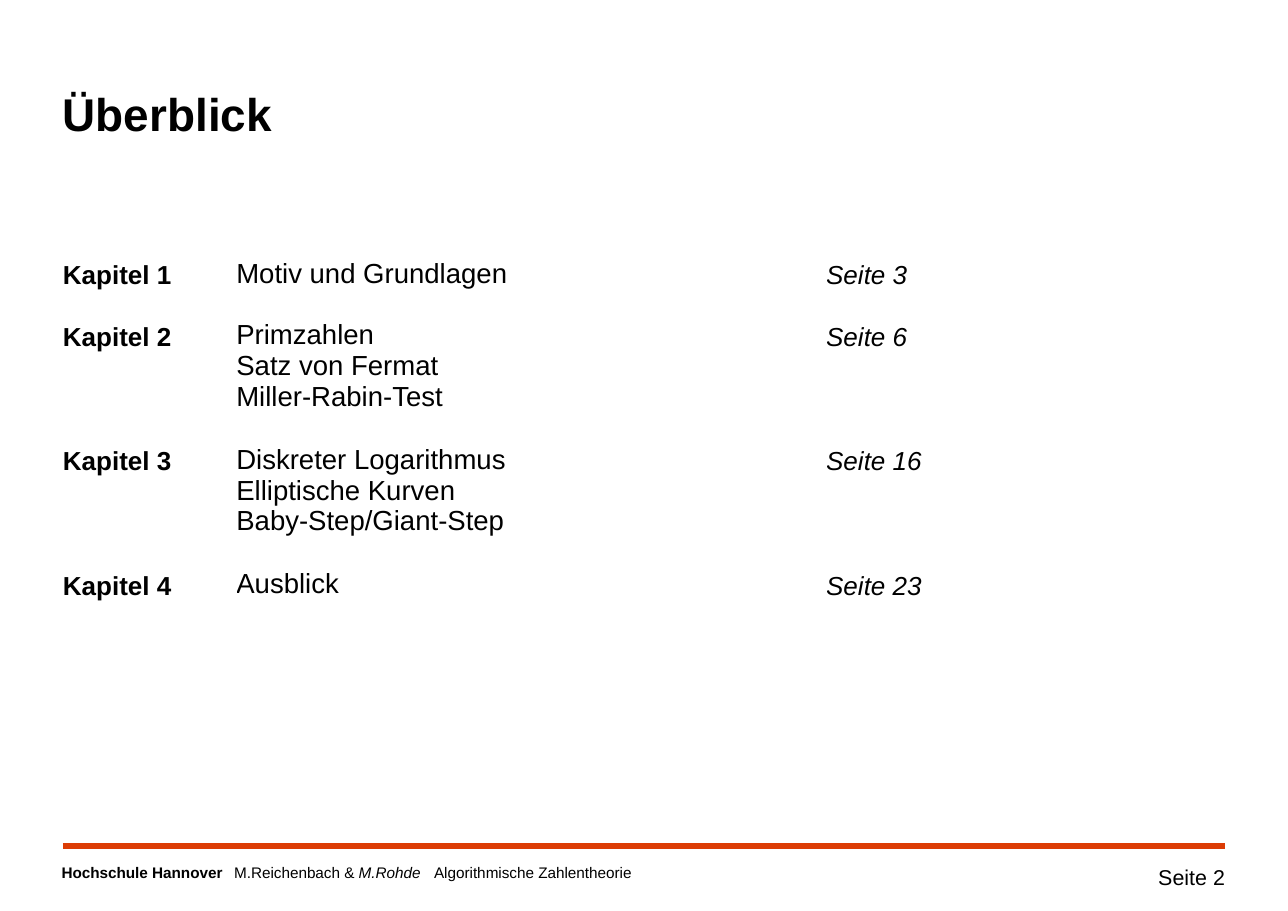
from dataclasses import dataclass
from typing import NamedTuple

from lxml.etree import SubElement
from pptx import Presentation
from pptx.dml.color import RGBColor
from pptx.enum.shapes import MSO_CONNECTOR
from pptx.enum.text import MSO_ANCHOR, PP_ALIGN
from pptx.oxml.ns import qn
from pptx.util import Cm, Pt


@dataclass(frozen=True)
class Theme:
    font: str = "Arial"
    ink: RGBColor = RGBColor(0, 0, 0)
    accent: RGBColor = RGBColor(0xDC, 0x3C, 0x05)
    title: int = 30
    topic: int = 18
    label: int = 17
    page: int = 14
    footer: int = 10


class Run(NamedTuple):
    text: str
    size: int
    bold: bool = False
    italic: bool = False


class Box(NamedTuple):
    left: float
    top: float
    width: float
    height: float


class Chapter(NamedTuple):
    label: str
    topics: list[str]
    page: str
    height: float


THEME = Theme()
LEFT, RIGHT = 1.45, 28.25
NO_INSET = dict.fromkeys(("margin_left", "margin_right", "margin_top", "margin_bottom"), 0)
LOOSE = {"line_spacing": 1.1, "space_after": Pt(7)}
COLUMNS = (4, 13.6, 5.8)
CHAPTERS = [
    Chapter("Kapitel 1", ["Motiv und Grundlagen"], "Seite 3", 1.42),
    Chapter("Kapitel 2", ["Primzahlen", "Satz von Fermat", "Miller-Rabin-Test"], "Seite 6", 2.87),
    Chapter("Kapitel 3", ["Diskreter Logarithmus", "Elliptische Kurven", "Baby-Step/Giant-Step"],
            "Seite 16", 2.87),
    Chapter("Kapitel 4", ["Ausblick"], "Seite 23", 2.87),
]


def apply(target, values: dict) -> None:
    for name, value in values.items():
        setattr(target, name, value)


def write(frame, lines: list[list[Run]], style: dict) -> None:
    for index, line in enumerate(lines):
        para = frame.add_paragraph() if index else frame.paragraphs[0]
        apply(para, style)
        for item in line:
            run = para.add_run()
            run.text = item.text
            apply(run.font, {"name": THEME.font, "size": Pt(item.size),
                             "bold": item.bold, "italic": item.italic})
            run.font.color.rgb = THEME.ink


def add_text(slide, box: Box, line: list[Run], style: dict):
    frame = slide.shapes.add_textbox(*map(Cm, box)).text_frame
    apply(frame, NO_INSET | {"word_wrap": True, "vertical_anchor": MSO_ANCHOR.TOP})
    write(frame, [line], style)
    return frame


def add_tabs(para, stops: tuple[float, ...]) -> None:
    tabs = SubElement(para._p.get_or_add_pPr(), qn("a:tabLst"))
    for stop in stops:
        SubElement(tabs, qn("a:tab"), pos=str(Cm(stop)), algn="l")


def add_rule(slide, top: float) -> None:
    rule = slide.shapes.add_connector(MSO_CONNECTOR.STRAIGHT, Cm(LEFT), Cm(top), Cm(RIGHT), Cm(top))
    rule.line.color.rgb = THEME.accent
    rule.line.width = Pt(4)
    SubElement(rule._element.spPr, qn("a:effectLst"))


def add_chapters(slide, left: float, top: float) -> None:
    size = sum(COLUMNS), sum(chapter.height for chapter in CHAPTERS)
    table = slide.shapes.add_table(len(CHAPTERS), len(COLUMNS), *map(Cm, (left, top, *size))).table
    apply(table, {"first_row": False, "horz_banding": False})
    for column, width in zip(table.columns, COLUMNS):
        column.width = Cm(width)
    for row, chapter in zip(table.rows, CHAPTERS):
        row.height = Cm(chapter.height)
        parts = (
            ([[Run(chapter.label, THEME.label, bold=True)]], LOOSE),
            ([[Run(topic, THEME.topic)] for topic in chapter.topics], {}),
            ([[Run(chapter.page, THEME.label, italic=True)]], LOOSE),
        )
        for cell, (lines, style) in zip(row.cells, parts):
            apply(cell, NO_INSET)
            cell.fill.background()
            write(cell.text_frame, lines, style)


deck = Presentation()
apply(deck, {"slide_width": Cm(29.7), "slide_height": Cm(21)})
slide = deck.slides.add_slide(deck.slide_layouts[6])

add_text(slide, Box(LEFT, 1.85, RIGHT - LEFT, 2.65),
         [Run("Überblick", THEME.title, bold=True)], {"line_spacing": 1.1})
add_chapters(slide, LEFT, 5.95)
add_rule(slide, 19.5)
footer = add_text(slide, Box(1.42, 19.91, 21.4, 0.6), [
    Run("Hochschule Hannover\t", THEME.footer, bold=True),
    Run("M.Reichenbach & ", THEME.footer),
    Run("M.Rohde\t", THEME.footer, italic=True),
    Run("Algorithmische Zahlentheorie", THEME.footer),
], {})
add_tabs(footer.paragraphs[0], (3.98, 8.59))
add_text(slide, Box(24.85, 19.91, 3.4, 0.65),
         [Run("Seite 2", THEME.page)], {"alignment": PP_ALIGN.RIGHT})

deck.save("out.pptx")
